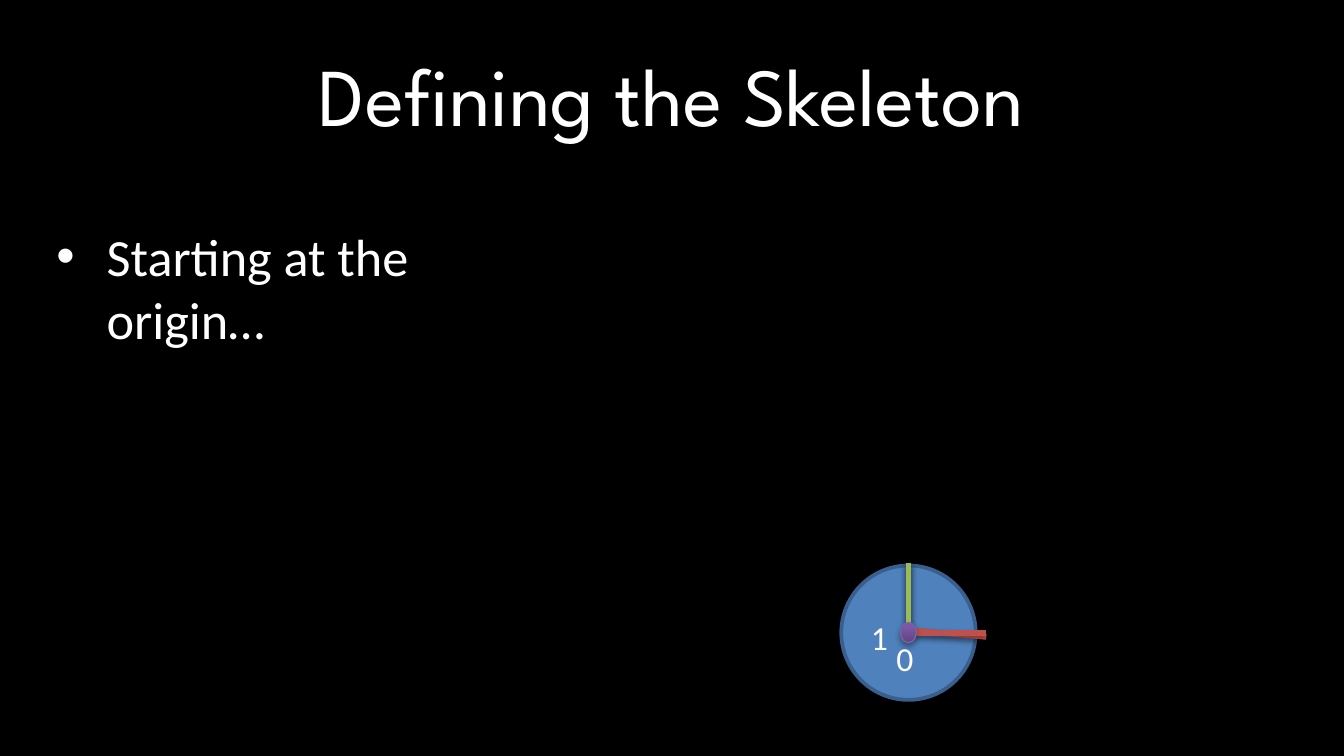
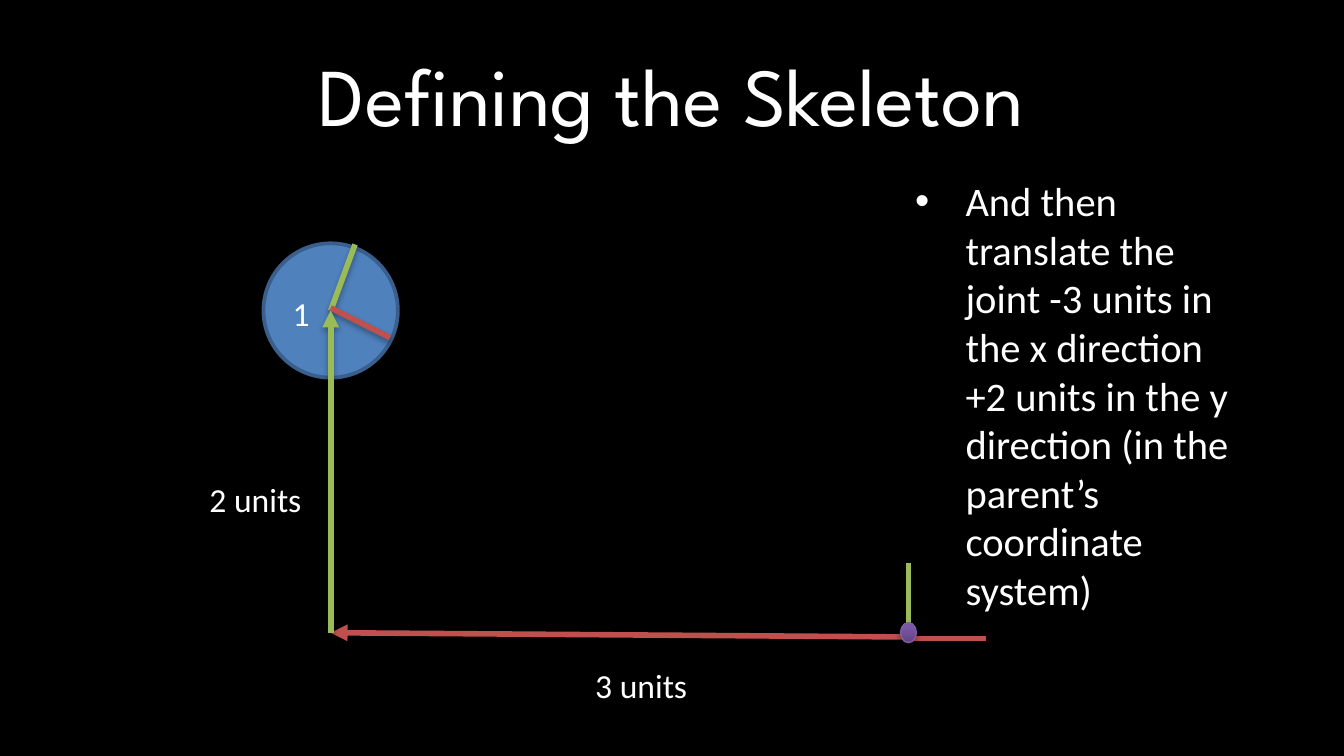
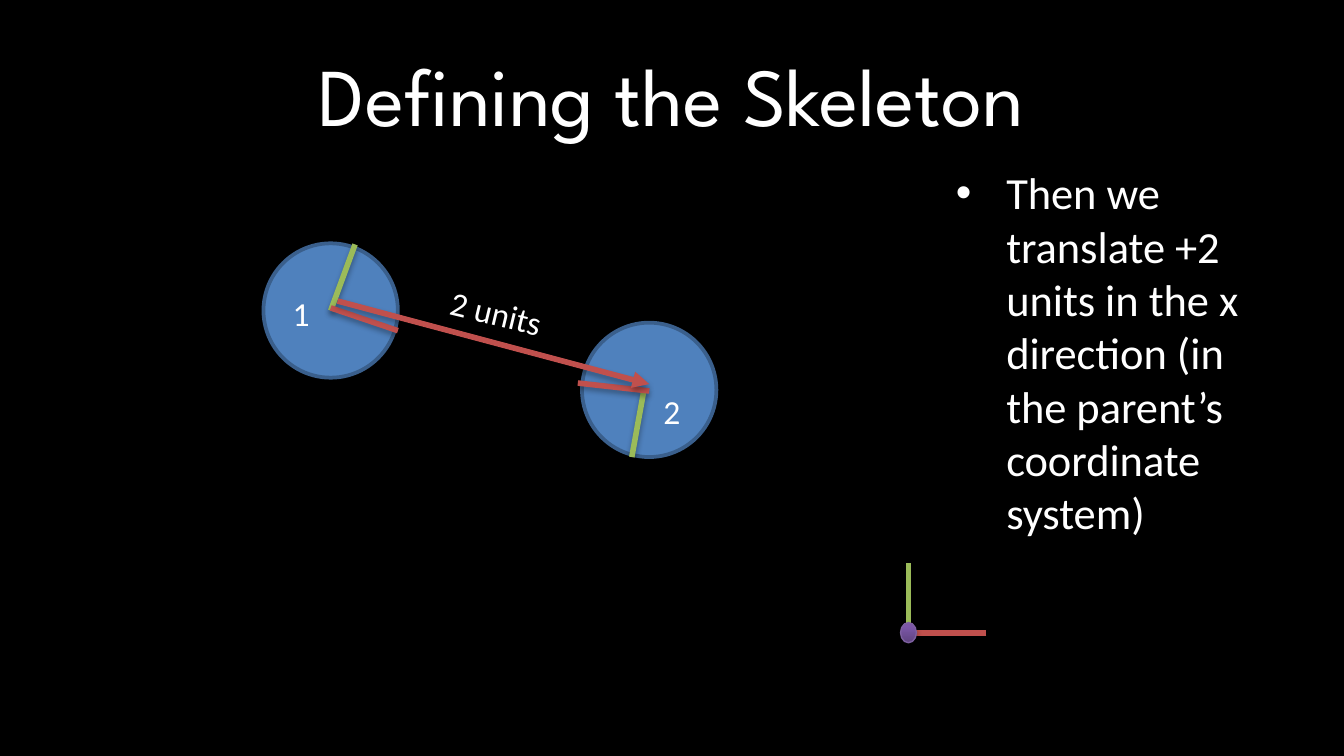
"""Build three slides that define a skeleton joint by joint."""
from dataclasses import dataclass

from lxml import etree
from pptx import Presentation
from pptx.dml.color import RGBColor as RGB
from pptx.enum.shapes import MSO_CONNECTOR as CONN, MSO_SHAPE as SHAPE
from pptx.enum.text import MSO_ANCHOR as ANCHOR, MSO_AUTO_SIZE as AUTO, PP_ALIGN as ALIGN
from pptx.oxml import parse_xml
from pptx.oxml.ns import nsdecls, qn
from pptx.util import Cm, Pt


@dataclass(frozen=True)
class Theme:
    background: RGB = RGB(0x00, 0x00, 0x00)
    text: RGB = RGB(0xFF, 0xFF, 0xFF)
    joint: RGB = RGB(0x4F, 0x81, 0xBD)
    joint_edge: RGB = RGB(0x3A, 0x5F, 0x8C)
    x_axis: RGB = RGB(0xC0, 0x50, 0x4D)
    y_axis: RGB = RGB(0x9B, 0xBB, 0x59)
    dot_dark: RGB = RGB(0x5F, 0x44, 0x80)
    dot_light: RGB = RGB(0x7C, 0x57, 0xA8)
    dot_edge: RGB = RGB(0x7D, 0x60, 0xA0)
    title_font: str = "League Spartan"
    body_font: str = "Calibri"
    title_size: float = 44
    label_size: float = 18
    large_list: float = 28
    medium_list: float = 23.8
    small_list: float = 21.7


T = Theme()
ORIGIN = (17.17, 11.96)
ORIGIN_FOOT = (17.17, 12.04)
ORIGIN_Y_TIP = (17.17, 10.64)
JOINT_1 = (6.25, 5.87)
JOINT_2 = (12.27, 7.37)


class Deck:
    def __init__(self, prs):
        self.prs = prs
        self.s = None
        fill = prs.slide_master.background.fill
        fill.solid()
        fill.fore_color.rgb = T.background

    def font(self, p, name, size):
        p.font.name = name
        p.font.size = Pt(size)
        p.font.color.rgb = T.text

    def place(self, sp, left, top, width, height):
        sp.left, sp.top, sp.width, sp.height = Cm(left), Cm(top), Cm(width), Cm(height)

    def shadow(self, sp):
        sp._element.spPr.append(parse_xml(
            f'<a:effectLst {nsdecls("a")}>'
            '<a:outerShdw blurRad="40000" dist="23000" dir="5400000" rotWithShape="0">'
            '<a:srgbClr val="000000"><a:alpha val="35000"/></a:srgbClr>'
            '</a:outerShdw></a:effectLst>'))

    def slide(self, title):
        self.s = self.prs.slides.add_slide(self.prs.slide_layouts[1])
        sp = self.s.shapes.title
        self.place(sp, 1.27, 0.58, 22.86, 2.39)
        tf = sp.text_frame
        tf.text = title
        tf.auto_size = AUTO.NONE
        tf.vertical_anchor = ANCHOR.MIDDLE
        p = tf.paragraphs[0]
        p.alignment = ALIGN.CENTER
        self.font(p, T.title_font, T.title_size)

    def bullet(self, text, box, size):
        sp = self.s.placeholders[1]
        self.place(sp, *box)
        tf = sp.text_frame
        tf.text = text
        tf.auto_size = AUTO.NONE
        p = tf.paragraphs[0]
        p.space_before = Pt(0)
        self.font(p, T.body_font, size)

    def ellipse(self, centre, width, height):
        x, y = centre
        return self.s.shapes.add_shape(SHAPE.OVAL, Cm(x - width / 2), Cm(y - height / 2),
                                       Cm(width), Cm(height))

    def joint(self, centre):
        sp = self.ellipse(centre, 2.54, 2.54)
        sp.fill.solid()
        sp.fill.fore_color.rgb = T.joint
        sp.line.color.rgb = T.joint_edge
        sp.line.width = Pt(2)
        sp.shadow.inherit = False

    def dot(self):
        sp = self.ellipse(ORIGIN, 0.3, 0.38)
        sp.fill.gradient()
        sp.fill.gradient_angle = 90
        stops = sp.fill.gradient_stops
        for stop, color, position in zip(stops, (T.dot_dark, T.dot_light), (0, 0.8)):
            stop.color.rgb = color
            stop.position = position
        sp.line.color.rgb = T.dot_edge
        sp.line.width = Pt(0.75)
        self.shadow(sp)

    def axis(self, start, end, color, arrow=False):
        line = self.s.shapes.add_connector(CONN.STRAIGHT, *map(Cm, (*start, *end)))
        line.line.color.rgb = color
        line.line.width = Pt(3)
        if arrow:
            etree.SubElement(line.line._ln, qn("a:tailEnd"), type="triangle")
        self.shadow(line)

    def label(self, text, left, top, width, rotation=0):
        sp = self.s.shapes.add_textbox(Cm(left), Cm(top), Cm(width), Cm(1.02))
        sp.rotation = rotation
        tf = sp.text_frame
        tf.word_wrap = True
        tf.text = text
        self.font(tf.paragraphs[0], T.body_font, T.label_size)

    def origin_axes(self, x_level):
        self.axis(ORIGIN_FOOT, ORIGIN_Y_TIP, T.y_axis)
        self.axis((18.64, x_level), (17.17, x_level), T.x_axis)

    def first_joint_axes(self, x_tip):
        self.axis(JOINT_1, (6.71, 4.62), T.y_axis)
        self.axis(x_tip, (6.25, 5.82), T.x_axis)
        self.label("1", 5.28, 5.41, 0.64)


def origin_slide(deck):
    deck.slide("Defining the Skeleton")
    deck.bullet("Starting at the origin…", (0.81, 4.11, 8.92, 7.39), T.large_list)
    deck.joint(ORIGIN)
    deck.axis(ORIGIN, ORIGIN_Y_TIP, T.y_axis)
    deck.axis((18.64, 12.04), (17.17, 11.91), T.x_axis)
    deck.label("1", 16.21, 11.53, 0.64)
    deck.origin_axes(11.96)
    deck.label("0", 16.69, 11.94, 1.27)
    deck.dot()


def first_joint_slide(deck):
    deck.slide("Defining the Skeleton")
    deck.bullet("And then translate the joint -3 units in the x direction +2 units in the "
                "y direction (in the parent’s coordinate system)",
                (17.04, 3.2, 6.83, 6.3), T.small_list)
    deck.joint(JOINT_1)
    deck.first_joint_axes((7.37, 6.38))
    deck.origin_axes(12.07)
    corner = (JOINT_1[0], ORIGIN[1])
    deck.axis(ORIGIN_FOOT, corner, T.x_axis, arrow=True)
    deck.axis(corner, JOINT_1, T.y_axis, arrow=True)
    deck.dot()
    deck.label("3 units", 11, 12.45, 2.74)
    deck.label("2 units", 3.71, 8.92, 2.74)


def second_joint_slide(deck):
    deck.slide("Defining the Skeleton")
    deck.bullet("Then we translate +2 units in the x direction "
                "(in the parent’s coordinate system)",
                (17.81, 3, 6.83, 6.3), T.medium_list)
    for centre in (JOINT_1, JOINT_2):
        deck.joint(centre)
    deck.first_joint_axes((7.52, 6.25))
    deck.axis((11.94, 8.64), (12.17, 7.37), T.y_axis)
    deck.axis((12.27, 7.39), (10.92, 7.24), T.x_axis)
    deck.label("2", 12.29, 7.26, 0.56)
    deck.origin_axes(11.96)
    deck.dot()
    deck.axis((6.38, 5.69), (12.27, 7.26), T.x_axis, arrow=True)
    deck.label("2 units", 8.26, 5.41, 2.31, rotation=13.5)


def main():
    prs = Presentation()
    prs.slide_width, prs.slide_height = Cm(25.4), Cm(14.29)
    deck = Deck(prs)
    origin_slide(deck)
    first_joint_slide(deck)
    second_joint_slide(deck)
    prs.save("out.pptx")


if __name__ == "__main__":
    main()
